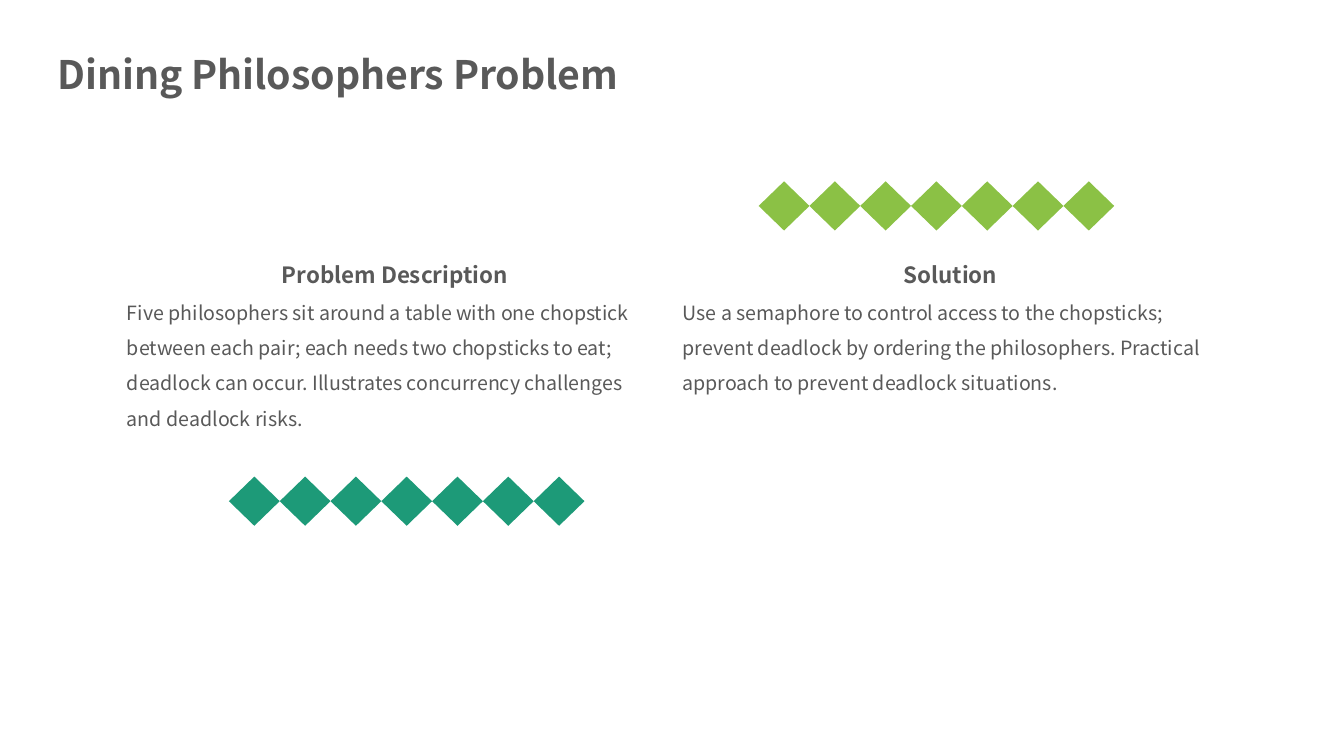
import dataclasses

import pptx
import pptx.dml.color
import pptx.enum.shapes
import pptx.enum.text
import pptx.util

Cm = pptx.util.Cm
Pt = pptx.util.Pt
ALIGN = pptx.enum.text.PP_ALIGN


@dataclasses.dataclass(frozen=True)
class Theme:
    """Hold the colours, font and type sizes of the slide."""
    font: str = "Noto Sans CJK SC"
    text: str = "595959"
    green: str = "1D9A78"
    lime: str = "8BC145"
    title_size: int = 28
    heading_size: int = 16
    body_size: int = 14


THEME = Theme()
COLUMN_WIDTH = 14
DIAMOND_COUNT = 7
DIAMOND_WIDTH = 1.28
DIAMOND_HEIGHT = 1.24


def rgb(code):
    """Turn a hex code into a colour."""
    return pptx.dml.color.RGBColor.from_string(code)


def write(frame, text, size, bold=False, align=ALIGN.LEFT, spacing=None):
    """Fill a text frame with one formatted paragraph."""
    frame.word_wrap = True
    frame.auto_size = pptx.enum.text.MSO_AUTO_SIZE.SHAPE_TO_FIT_TEXT
    frame.vertical_anchor = pptx.enum.text.MSO_ANCHOR.TOP
    frame.text = text
    paragraph = frame.paragraphs[0]
    paragraph.alignment = align
    if spacing:
        paragraph.line_spacing = spacing
        paragraph.space_before = Pt(size * 0.2)
    paragraph.font.name = THEME.font
    paragraph.font.size = Pt(size)
    paragraph.font.bold = bold
    paragraph.font.color.rgb = rgb(THEME.text)


def add_title(slide, text, left, top, width, height):
    """Place and format the title placeholder."""
    title = slide.shapes.title
    title.left, title.top = Cm(left), Cm(top)
    title.width, title.height = Cm(width), Cm(height)
    write(title.text_frame, text, THEME.title_size, bold=True)


def add_column(slide, heading, body, left, top, width):
    """Place a centred heading above its body text."""
    body_box = slide.shapes.add_textbox(Cm(left), Cm(top + 0.84), Cm(width), Cm(2.11))
    write(body_box.text_frame, body, THEME.body_size, spacing=1.5)
    heading_box = slide.shapes.add_textbox(Cm(left), Cm(top), Cm(width), Cm(1.02))
    write(heading_box.text_frame, heading, THEME.heading_size, bold=True,
          align=ALIGN.CENTER, spacing=1.2)


def add_diamond_row(slide, colour, left, top):
    """Place a grouped row of touching diamonds."""
    row = slide.shapes.add_group_shape()
    for index in range(DIAMOND_COUNT):
        diamond = row.shapes.add_shape(
            pptx.enum.shapes.MSO_SHAPE.DIAMOND,
            Cm(left + index * DIAMOND_WIDTH), Cm(top),
            Cm(DIAMOND_WIDTH), Cm(DIAMOND_HEIGHT))
        diamond.shadow.inherit = False
        diamond.fill.solid()
        diamond.fill.fore_color.rgb = rgb(colour)
        diamond.line.fill.background()


def main():
    """Build and save the slide."""
    deck = pptx.Presentation()
    deck.slide_width, deck.slide_height = Cm(33.87), Cm(19.05)
    slide = deck.slides.add_slide(deck.slide_layouts.get_by_name("Title Only"))

    add_diamond_row(slide, THEME.green, 5.77, 12.01)
    add_diamond_row(slide, THEME.lime, 19.12, 4.57)
    add_title(slide, "Dining Philosophers Problem", 1.19, 1.14, 24, 1.45)

    columns = [
        ("Problem Description",
         "Five philosophers sit around a table with one chopstick between each pair; "
         "each needs two chopsticks to eat; deadlock can occur. "
         "Illustrates concurrency challenges and deadlock risks."),
        ("Solution",
         "Use a semaphore to control access to the chopsticks; "
         "prevent deadlock by ordering the philosophers. "
         "Practical approach to prevent deadlock situations."),
    ]
    for index, (heading, body) in enumerate(columns):
        add_column(slide, heading, body, 2.95 + index * COLUMN_WIDTH, 6.32, COLUMN_WIDTH)

    deck.save("out.pptx")


if __name__ == "__main__":
    main()
